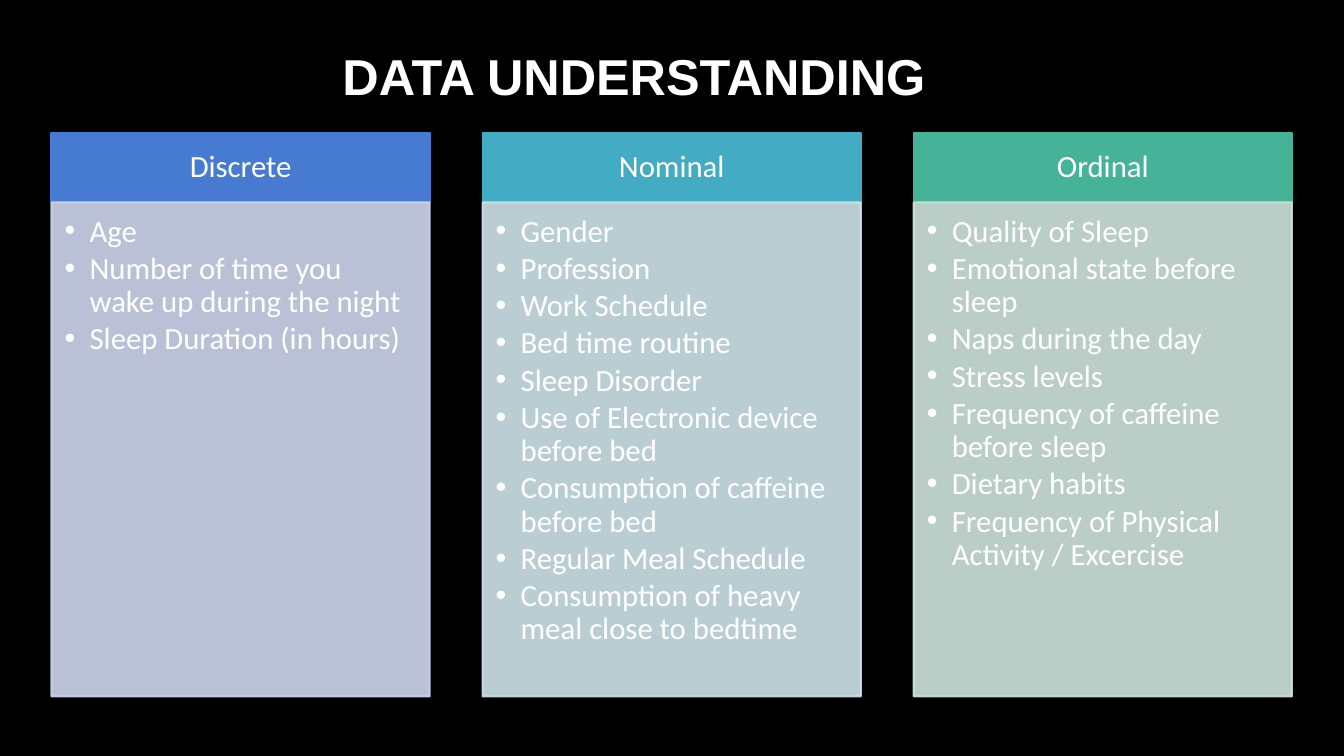
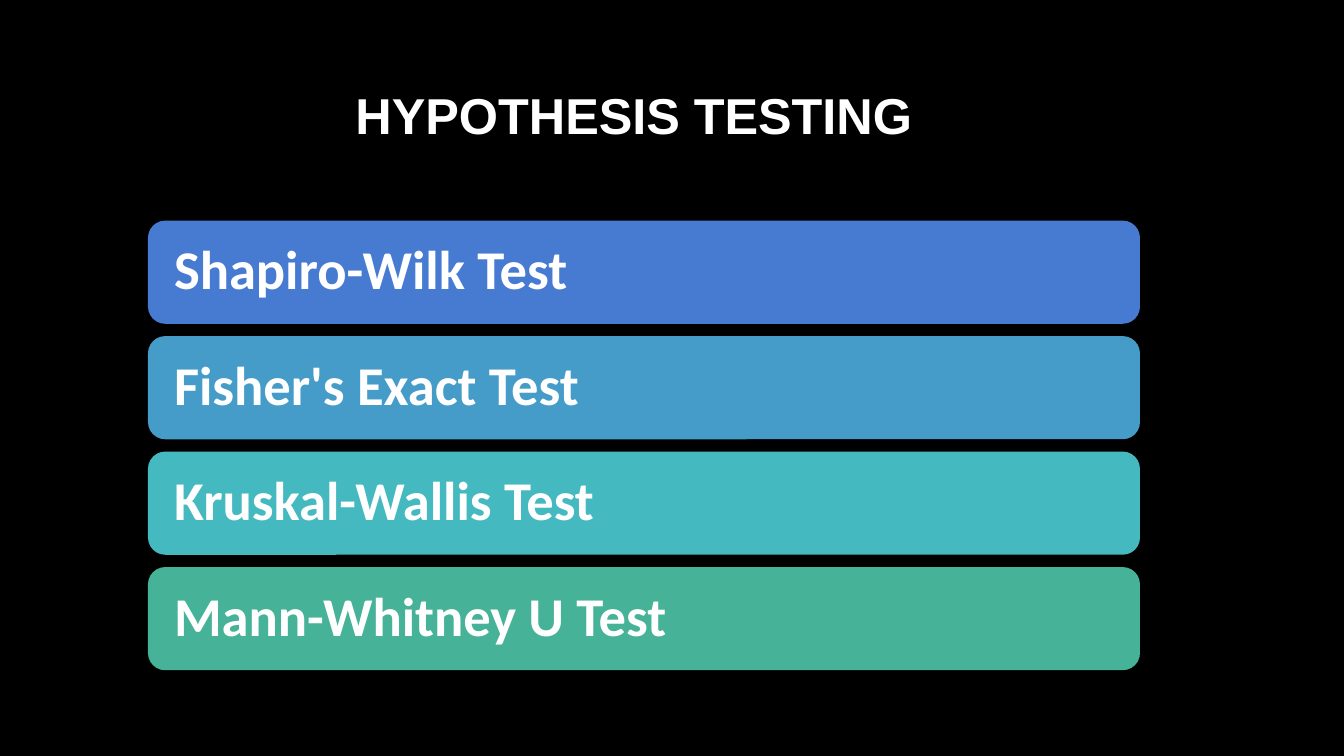
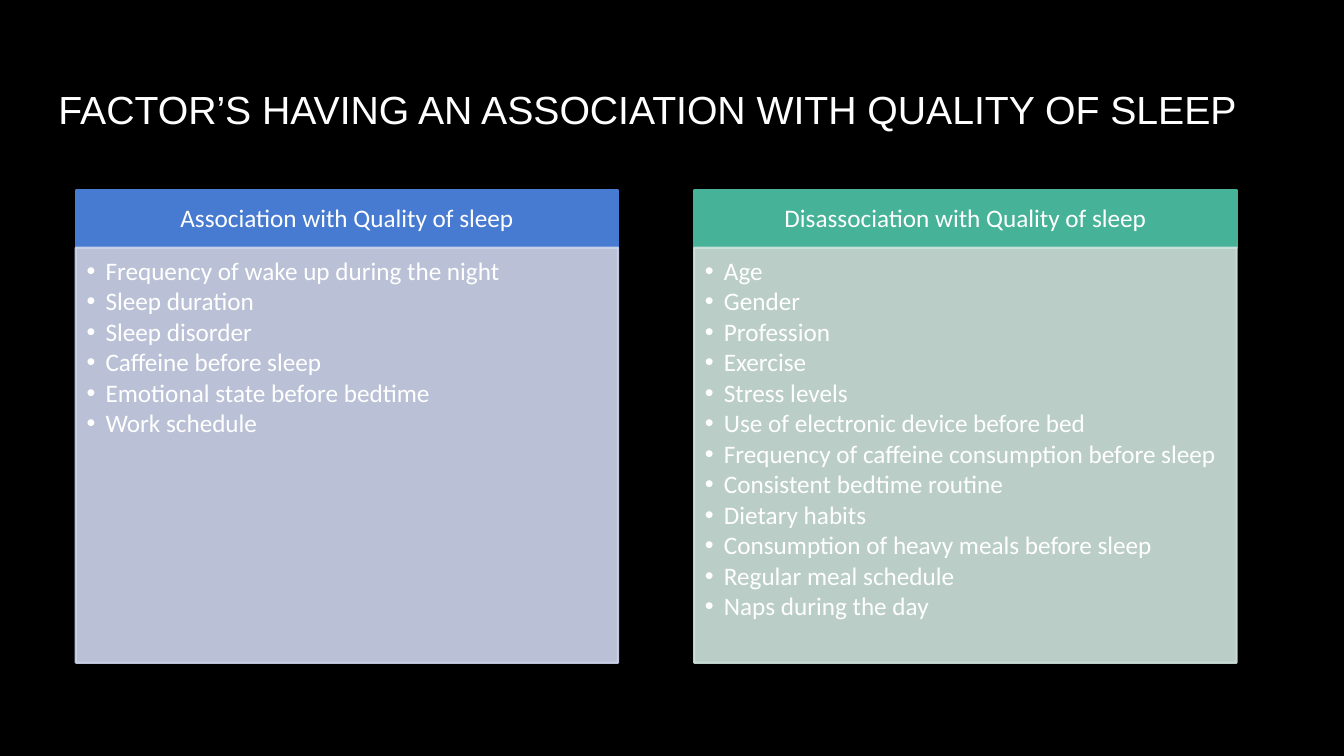
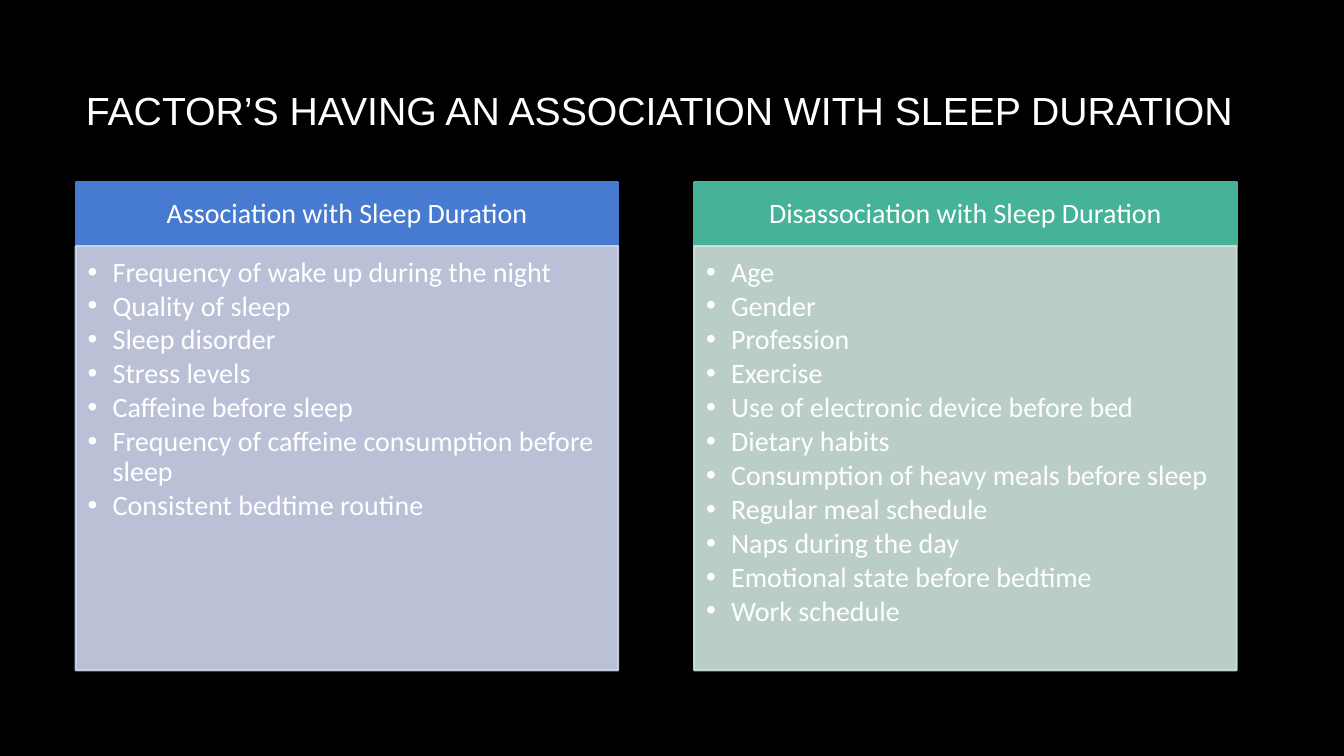
"""Build four slides on sleep data, hypothesis tests and associated factors."""
from dataclasses import dataclass

from pptx import Presentation
from pptx.dml.color import RGBColor
from pptx.enum import shapes, text
from pptx.oxml import ns, xmlchemy
from pptx.util import Cm, Pt


@dataclass(frozen=True)
class Theme:
    background: str = "000000"
    ink: str = "FFFFFF"
    blue: str = "477BD1"
    sky: str = "459CC8"
    cyan: str = "44ABC4"
    teal: str = "44B9BF"
    green: str = "46B298"
    pale_blue: str = "CFD7EE"
    pale_cyan: str = "CFE4E9"
    pale_green: str = "CFE4DD"
    panel_alpha: int = 90
    title_font: str = "Arial"
    text_font: str = "Calibri"
    large_title: int = 36
    small_title: int = 28
    bar_size: int = 39
    border: float = 1.5
    line_spacing: float = 0.9
    bullet_gap: float = 0.13
    column_gap: float = 0.14


THEME = Theme()
TITLE_ONLY, COMPARISON = 5, 4
BLUE = (THEME.blue, THEME.pale_blue)
CYAN = (THEME.cyan, THEME.pale_cyan)
GREEN = (THEME.green, THEME.pale_green)

UNDERSTANDING = {
    "title": "DATA UNDERSTANDING",
    "title_box": (1.91, 0.81, 28.14, 2.18),
    "bold": True,
    "layout": TITLE_ONLY,
    "size": 22,
    "indent": 0.63,
    "grid": {"left": 1.3, "top": 3.35, "width": 9.53, "header": 1.75, "body": 12.45},
    "columns": [
        ("Discrete", BLUE, [
            "Age",
            "Number of time you wake up during the night",
            "Sleep Duration (in hours)",
        ]),
        ("Nominal", CYAN, [
            "Gender",
            "Profession",
            "Work Schedule",
            "Bed time routine",
            "Sleep Disorder",
            "Use of Electronic device before bed",
            "Consumption of caffeine before bed",
            "Regular Meal Schedule",
            "Consumption of heavy meal close to bedtime",
        ]),
        ("Ordinal", GREEN, [
            "Quality of Sleep",
            "Emotional state before sleep",
            "Naps during the day",
            "Stress levels",
            "Frequency of caffeine before sleep",
            "Dietary habits",
            "Frequency of Physical Activity / Excercise",
        ]),
    ],
}

TESTING = {
    "title": "HYPOTHESIS TESTING",
    "title_box": (1.91, 1.7, 28.14, 2.34),
    "bold": True,
    "layout": TITLE_ONLY,
    "bars": [
        ("Shapiro-Wilk Test", THEME.blue),
        ("Fisher's Exact Test", THEME.sky),
        ("Kruskal-Wallis Test", THEME.teal),
        ("Mann-Whitney U Test", THEME.green),
    ],
}

QUALITY = {
    "title": "FACTOR’S HAVING AN ASSOCIATION WITH QUALITY OF SLEEP",
    "title_box": (1.22, 1.37, 31.45, 2.74),
    "bold": False,
    "layout": COMPARISON,
    "size": 18,
    "indent": 0.48,
    "grid": {"left": 1.91, "top": 4.8, "width": 13.67, "header": 1.44, "body": 10.46},
    "columns": [
        ("Association with Quality of sleep", BLUE, [
            "Frequency of wake up during the night",
            "Sleep duration",
            "Sleep disorder",
            "Caffeine before sleep",
            "Emotional state before bedtime",
            "Work schedule",
        ]),
        ("Disassociation with Quality of sleep", GREEN, [
            "Age",
            "Gender",
            "Profession",
            "Exercise",
            "Stress levels",
            "Use of electronic device before bed",
            "Frequency of caffeine consumption before sleep",
            "Consistent bedtime routine",
            "Dietary habits",
            "Consumption of heavy meals before sleep",
            "Regular meal schedule",
            "Naps during the day",
        ]),
    ],
}

DURATION = {
    "title": "FACTOR’S HAVING AN ASSOCIATION WITH SLEEP DURATION",
    "title_box": (1.91, 1.4, 31.45, 2.74),
    "bold": False,
    "layout": COMPARISON,
    "size": 20,
    "indent": 0.63,
    "grid": {"left": 1.91, "top": 4.6, "width": 13.67, "header": 1.6, "body": 10.69},
    "columns": [
        ("Association with Sleep Duration", BLUE, [
            "Frequency of wake up during the night",
            "Quality of sleep",
            "Sleep disorder",
            "Stress levels",
            "Caffeine before sleep",
            "Frequency of caffeine consumption before sleep",
            "Consistent bedtime routine",
        ]),
        ("Disassociation with Sleep Duration", GREEN, [
            "Age",
            "Gender",
            "Profession",
            "Exercise",
            "Use of electronic device before bed",
            "Dietary habits",
            "Consumption of heavy meals before sleep",
            "Regular meal schedule",
            "Naps during the day",
            "Emotional state before bedtime",
            "Work schedule",
        ]),
    ],
}

SLIDES = [UNDERSTANDING, TESTING, QUALITY, DURATION]


def apply(target, values):
    """Set every attribute in values on target."""
    for name, value in values.items():
        setattr(target, name, value)


def place(shape, box):
    """Move shape to a box given in centimetres."""
    apply(shape, dict(zip(("left", "top", "width", "height"), map(Cm, box))))


def paint(shape, color, alpha=None, outlined=True):
    """Fill shape and outline it in one colour, with optional opacity."""
    shape.shadow.inherit = False
    shape.fill.solid()
    shape.fill.fore_color.rgb = RGBColor.from_string(color)
    if outlined:
        shape.line.width = Pt(THEME.border)
        shape.line.color.rgb = RGBColor.from_string(color)
    else:
        shape.line.fill.background()
    if alpha:
        for element in shape._element.spPr.iter(ns.qn("a:srgbClr")):
            opacity = xmlchemy.OxmlElement("a:alpha")
            opacity.set("val", str(alpha * 1000))
            element.append(opacity)


def write(shape, lines, size, margins=None, anchor=text.MSO_ANCHOR.MIDDLE,
          align=text.PP_ALIGN.LEFT, font=THEME.text_font, bold=False,
          spacing=THEME.line_spacing, gap=0, indent=None):
    """Write paragraphs with one format, bulleted when an indent is given."""
    frame = shape.text_frame
    apply(frame, {"word_wrap": True, "auto_size": text.MSO_AUTO_SIZE.NONE,
                  "vertical_anchor": anchor})
    if margins:
        names = ("margin_left", "margin_top", "margin_right", "margin_bottom")
        apply(frame, dict(zip(names, map(Cm, margins))))
    for index, line in enumerate(lines):
        paragraph = frame.add_paragraph() if index else frame.paragraphs[0]
        run = paragraph.add_run()
        run.text = line
        apply(paragraph, {"alignment": align, "line_spacing": spacing,
                          "space_before": Pt(0), "space_after": Pt(gap)})
        apply(run.font, {"name": font, "size": Pt(size), "bold": bold})
        run.font.color.rgb = RGBColor.from_string(THEME.ink)
        if indent:
            add_bullet(paragraph, indent)


def add_bullet(paragraph, indent):
    """Give paragraph a hanging round bullet."""
    properties = paragraph._p.get_or_add_pPr()
    properties.set("marL", str(Cm(indent)))
    properties.set("indent", str(-Cm(indent)))
    for tag, name, value in (("a:buFont", "typeface", THEME.title_font),
                             ("a:buChar", "char", "•")):
        element = xmlchemy.OxmlElement(tag)
        element.set(name, value)
        properties.append(element)


def add_columns(slide, content):
    """Lay out headed lists in equal columns, using placeholders where offered."""
    grid, size = content["grid"], content["size"]
    slots = [shape for shape in slide.placeholders if shape != slide.shapes.title]
    pitch = grid["width"] * (1 + THEME.column_gap)
    side, thin, near = size * 0.02, size * 0.01, size * 0.015

    def next_box(box):
        shape = slots.pop(0) if slots else slide.shapes.add_shape(
            shapes.MSO_SHAPE.RECTANGLE, 0, 0, 0, 0)
        place(shape, box)
        return shape

    for index, (heading, (strong, pale), items) in enumerate(content["columns"]):
        left = grid["left"] + index * pitch
        header = next_box((left, grid["top"], grid["width"], grid["header"]))
        paint(header, strong)
        write(header, [heading], size, (side, thin, side, thin),
              align=text.PP_ALIGN.CENTER)
        body = next_box((left, grid["top"] + grid["header"], grid["width"], grid["body"]))
        paint(body, pale, THEME.panel_alpha)
        write(body, items, size, (near, near, side, side), text.MSO_ANCHOR.TOP,
              gap=size * THEME.bullet_gap, indent=content["indent"])


def add_bars(slide, bars):
    """Stack rounded bars with equal gaps."""
    left, top, width, height, gap = 3.73, 5.56, 25, 2.6, 0.31
    for index, (label, color) in enumerate(bars):
        bar = slide.shapes.add_shape(shapes.MSO_SHAPE.ROUNDED_RECTANGLE, 0, 0, 0, 0)
        place(bar, (left, top + index * (height + gap), width, height))
        paint(bar, color, outlined=False)
        write(bar, [label], THEME.bar_size, (0.53, 0.4, 0.53, 0.4), bold=True)


def add_slide(presentation, content):
    """Add one slide with its title and its columns or bars."""
    slide = presentation.slides.add_slide(presentation.slide_layouts[content["layout"]])
    bold = content["bold"]
    place(slide.shapes.title, content["title_box"])
    write(slide.shapes.title, [content["title"]],
          THEME.large_title if bold else THEME.small_title,
          align=text.PP_ALIGN.CENTER if bold else text.PP_ALIGN.LEFT,
          font=THEME.title_font, bold=bold, spacing=1.0)
    if "bars" in content:
        add_bars(slide, content["bars"])
    else:
        add_columns(slide, content)


def main():
    """Build and save the presentation."""
    presentation = Presentation()
    apply(presentation, {"slide_width": Cm(33.87), "slide_height": Cm(19.05)})
    background = presentation.slide_master.background.fill
    background.solid()
    background.fore_color.rgb = RGBColor.from_string(THEME.background)
    for content in SLIDES:
        add_slide(presentation, content)
    presentation.save("out.pptx")


if __name__ == "__main__":
    main()
